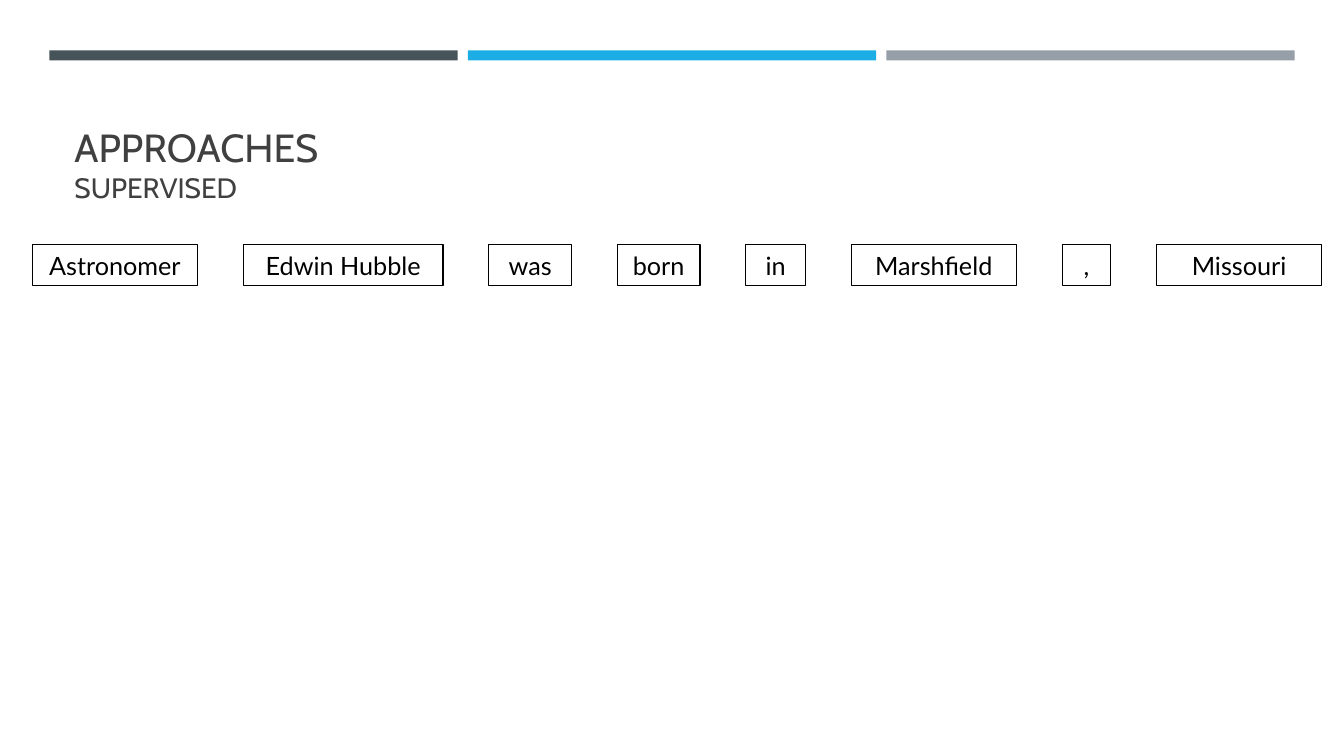
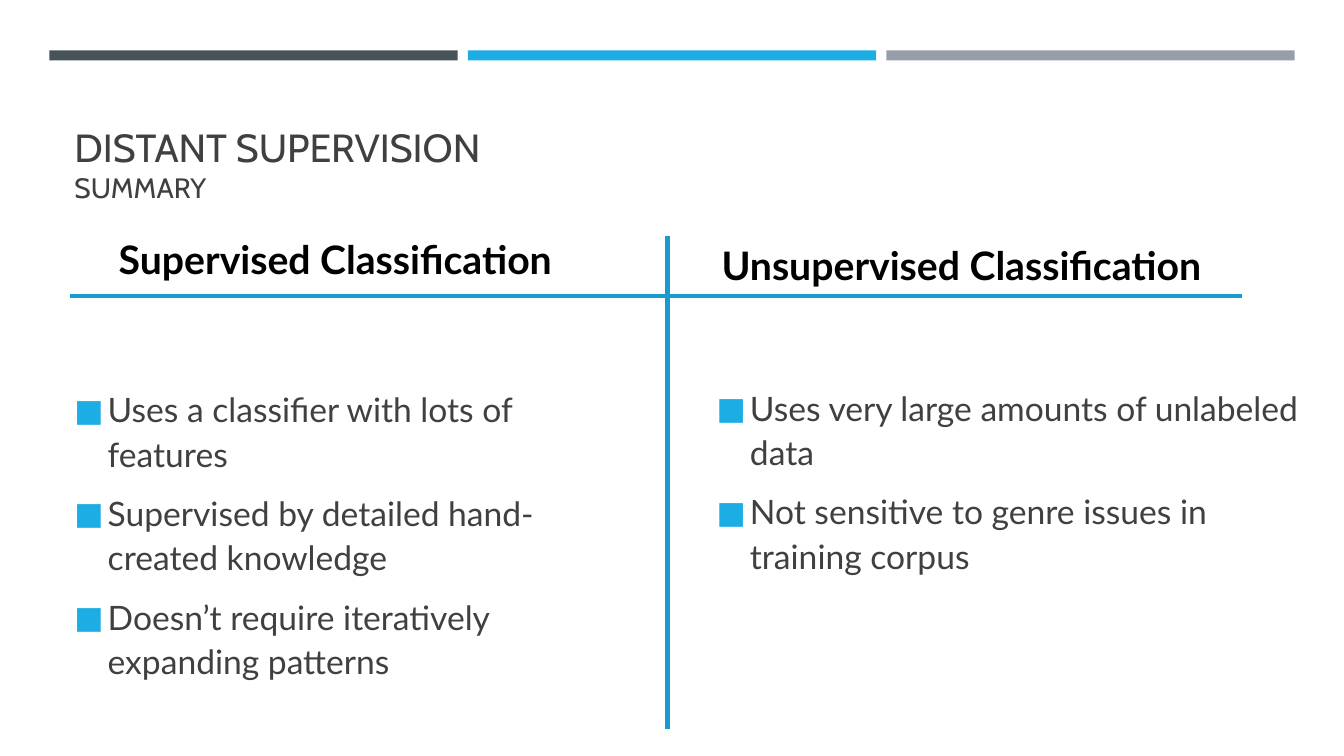
from dataclasses import dataclass

from lxml import etree
from pptx import Presentation
from pptx.dml.color import RGBColor
from pptx.enum.shapes import MSO_CONNECTOR, MSO_SHAPE
from pptx.enum.text import MSO_ANCHOR, PP_ALIGN
from pptx.oxml.ns import qn
from pptx.util import Inches, Pt

RECT = MSO_SHAPE.RECTANGLE
STRAIGHT = MSO_CONNECTOR.STRAIGHT
TOP, MIDDLE, BOTTOM = MSO_ANCHOR.TOP, MSO_ANCHOR.MIDDLE, MSO_ANCHOR.BOTTOM
LEFT, CENTER = PP_ALIGN.LEFT, PP_ALIGN.CENTER


@dataclass(frozen=True)
class Theme:
    title_font: str = "Cabin"
    body_font: str = "Lato"
    title_size: int = 28
    subtitle_size: int = 20
    heading_size: int = 28
    bullet_size: int = 24
    word_size: int = 18
    text: str = "404040"
    strong: str = "000000"
    accent: str = "1CADE4"
    divider: str = "189CCE"
    bands: tuple = ("465359", "1CADE4", "969FA7")


THEME = Theme()
SLIDE_W, SLIDE_H = 13.33, 7.5
MARGIN = 0.64

# Band row: left edge, top, band width, height, gap
BAND_X, BAND_Y, BAND_W, BAND_H, BAND_GAP = 0.49, 0.5, 4.05, 0.1, 0.1
TITLE_BOX = (MARGIN, 0.77, 12.06, 1.3)

# Sentence tokens with box widths, spread evenly from WORDS_LEFT to WORDS_RIGHT
WORDS = [("Astronomer", 1.64), ("Edwin Hubble", 1.98), ("was", 0.82),
         ("born", 0.82), ("in", 0.59), ("Marshfield", 1.64), (",", 0.48),
         ("Missouri", 1.64)]
WORDS_LEFT, WORDS_RIGHT, WORDS_Y, WORD_H = 0.32, 13.11, 2.43, 0.4

COLUMNS = [
    {"heading": "Supervised Classification",
     "heading_box": (MARGIN, 2.29, 5.37, 0.57),
     "bullets": ["Uses a classifier with lots of features",
                 "Supervised by detailed hand-created knowledge",
                 "Doesn’t require iteratively expanding patterns"],
     "bullets_box": (MARGIN, 3.51, 5.68, 3.56)},
    {"heading": "Unsupervised Classification",
     "heading_box": (6.67, 2.34, 5.73, 0.57),
     "bullets": ["Uses very large amounts of unlabeled data",
                 "Not sensitive to genre issues in training corpus"],
     "bullets_box": (7.01, 2.98, 6.18, 3.56)},
]
DIVIDERS = [(6.62, 2.34, 6.62, 7.23), (0.69, 2.94, 12.32, 2.94)]


def rgb(color):
    return RGBColor.from_string(color)


def inches(values):
    return [Inches(v) for v in values]


def style(font, name, size, color, bold=False):
    font.name, font.size, font.bold = name, Pt(size), bold
    font.color.rgb = rgb(color)


def add_rect(s, box, fill=None, line=None):
    shape = s.shapes.add_shape(RECT, *inches(box))
    shape.shadow.inherit = False
    if fill:
        shape.fill.solid()
        shape.fill.fore_color.rgb = rgb(fill)
    else:
        shape.fill.background()
    if line:
        shape.line.color.rgb = rgb(line)
        shape.line.width = Pt(0.75)
    else:
        shape.line.fill.background()
    return shape


def add_text(s, box, text, anchor=TOP, align=LEFT):
    tf = s.shapes.add_textbox(*inches(box)).text_frame
    tf.word_wrap = True
    tf.vertical_anchor = anchor
    tf.text = text
    for p in tf.paragraphs:
        p.alignment = align
    return tf


def add_bullet(p):
    pPr = p._p.get_or_add_pPr()
    indent = Inches(0.33)
    pPr.set("marL", str(indent))
    pPr.set("indent", str(-indent))
    color = etree.SubElement(pPr, qn("a:buClr"))
    etree.SubElement(color, qn("a:srgbClr"), val=THEME.accent)
    etree.SubElement(pPr, qn("a:buSzPct"), val="92000")
    etree.SubElement(pPr, qn("a:buFont"), typeface=THEME.body_font)
    etree.SubElement(pPr, qn("a:buChar"), char="■")


def add_bullets(s, box, items):
    tf = add_text(s, box, "\n".join(items), MIDDLE)
    for i, p in enumerate(tf.paragraphs):
        add_bullet(p)
        p.line_spacing = 1.1
        p.space_before = Pt(0.2 * THEME.bullet_size if i else 0)
        p.space_after = Pt(6)
        style(p.runs[0].font, THEME.body_font, THEME.bullet_size, THEME.text)


def add_divider(s, ends):
    line = s.shapes.add_connector(STRAIGHT, *inches(ends))
    line.line.color.rgb = rgb(THEME.divider)
    line.line.width = Pt(3)
    etree.SubElement(line._element.spPr, qn("a:effectLst"))


def new_slide(prs, title, subtitle):
    """Add a blank slide with the shared bands and two-line title."""
    s = prs.slides.add_slide(prs.slide_layouts[6])
    for i, color in enumerate(THEME.bands):
        x = BAND_X + i * (BAND_W + BAND_GAP)
        add_rect(s, (x, BAND_Y, BAND_W, BAND_H), fill=color)
    tf = add_text(s, TITLE_BOX, f"{title}\v{subtitle}", BOTTOM)
    sizes = (THEME.title_size, THEME.subtitle_size)
    for r, size in zip(tf.paragraphs[0].runs, sizes):
        style(r.font, THEME.title_font, size, THEME.text)
    return s


def build_approaches(prs):
    s = new_slide(prs, "APPROACHES", "SUPERVISED")
    used = sum(width for _, width in WORDS)
    gap = (WORDS_RIGHT - WORDS_LEFT - used) / (len(WORDS) - 1)
    x = WORDS_LEFT
    for word, width in WORDS:
        box = add_rect(s, (x, WORDS_Y, width, WORD_H), line=THEME.strong)
        tf = box.text_frame
        tf.text = word
        tf.vertical_anchor = MIDDLE
        p = tf.paragraphs[0]
        p.alignment = CENTER
        style(p.runs[0].font, THEME.body_font, THEME.word_size, THEME.strong)
        x += width + gap


def build_summary(prs):
    s = new_slide(prs, "DISTANT SUPERVISION", "SUMMARY")
    for column in COLUMNS:
        tf = add_text(s, column["heading_box"], column["heading"], align=CENTER)
        style(tf.paragraphs[0].runs[0].font, THEME.body_font,
              THEME.heading_size, THEME.strong, bold=True)
        add_bullets(s, column["bullets_box"], column["bullets"])
    for ends in DIVIDERS:
        add_divider(s, ends)


def main():
    prs = Presentation()
    prs.slide_width, prs.slide_height = inches((SLIDE_W, SLIDE_H))
    build_approaches(prs)
    build_summary(prs)
    prs.save("out.pptx")


if __name__ == "__main__":
    main()
